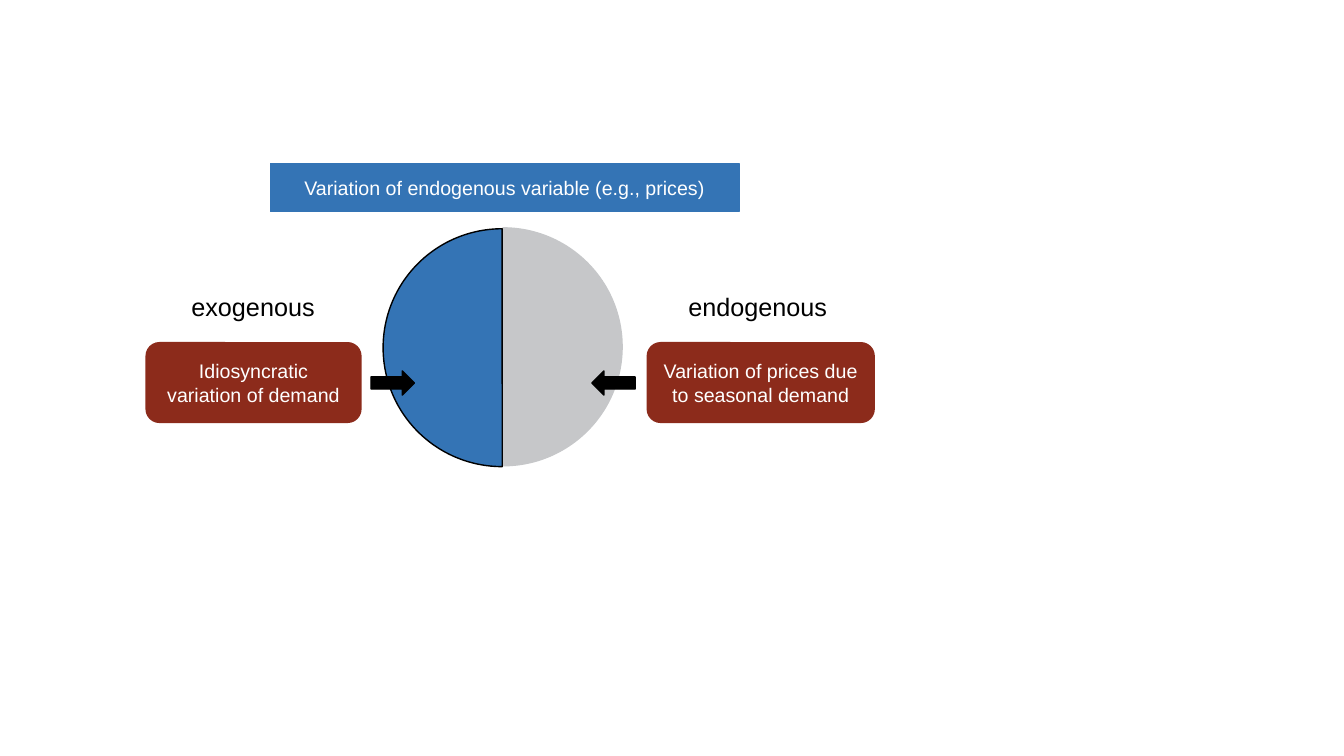
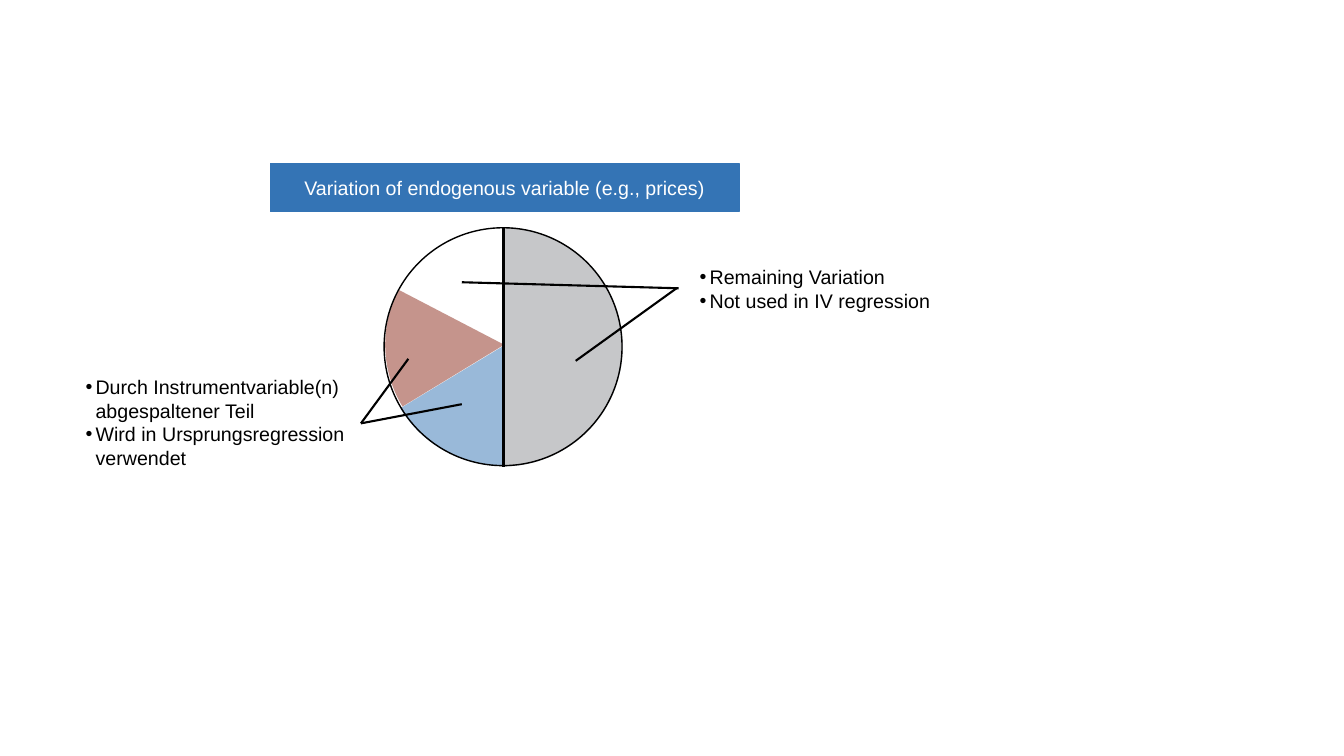
from typing import NamedTuple, Optional

from lxml import etree
from pptx import Presentation
from pptx import util as u
from pptx.dml.color import RGBColor
from pptx.enum import shapes, text
from pptx.oxml import ns

PX = 9144  # EMU per px, 100 px to the inch
FONT = "Arial"
BLUE = RGBColor(0x34, 0x74, 0xB5)
RED = RGBColor(0x8C, 0x2B, 0x1B)
GREY = RGBColor(0xC6, 0xC7, 0xC9)
BLACK = RGBColor(0, 0, 0)
WHITE = RGBColor(0xFF, 0xFF, 0xFF)
DIAMETER = 236
HALF = (89.9, 270)
SLICE = (0, 58.8)
BULLET_INDENT = 10
SHAPE = shapes.MSO_SHAPE
ALIGN = text.PP_ALIGN


class Box(NamedTuple):
    left: int
    top: int
    width: int
    height: int


class Part(NamedTuple):
    kind: shapes.MSO_SHAPE
    box: Box
    fill: Optional[RGBColor]
    line: Optional[RGBColor]
    label: str = ""
    angles: tuple = ()
    rotation: float = 0
    opacity: int = 100
    mirrored: bool = False


class Note(NamedTuple):
    box: Box
    lines: tuple
    size: int = 14
    align: text.PP_ALIGN = ALIGN.LEFT
    bulleted: bool = False


class Rule(NamedTuple):
    start: tuple
    end: tuple
    weight: float = 1.5


def disc(left: int, top: int) -> Box:
    return Box(left, top, DIAMETER, DIAMETER)


def emu(lengths: tuple) -> list:
    return [u.Emu(length * PX) for length in lengths]


def write(paragraph, words: str, size: int, color: RGBColor, align) -> None:
    paragraph.alignment = align
    run = paragraph.add_run()
    run.text = words
    run.font.name = FONT
    run.font.size = u.Pt(size)
    run.font.color.rgb = color


def draw_part(slide, part: Part) -> None:
    shape = slide.shapes.add_shape(part.kind, *emu(part.box))
    shape.shadow.inherit = False
    shape.rotation = part.rotation
    for index, degrees in enumerate(part.angles):
        shape.adjustments[index] = degrees * 0.6  # 60000 units a degree, in 100000ths
    if part.fill is None:
        shape.fill.background()
    else:
        shape.fill.solid()
        shape.fill.fore_color.rgb = part.fill
    if part.opacity < 100:
        color = shape.fill._xPr.find(".//" + ns.qn("a:srgbClr"))
        etree.SubElement(color, ns.qn("a:alpha"), val=str(part.opacity * 1000))
    if part.line is None:
        shape.line.fill.background()
    else:
        shape.line.color.rgb = part.line
        shape.line.width = u.Pt(1)
    if part.mirrored:
        shape._element.spPr.find(ns.qn("a:xfrm")).set("flipH", "1")
    if part.label:
        frame = shape.text_frame
        frame.word_wrap = True
        frame.vertical_anchor = text.MSO_ANCHOR.MIDDLE
        write(frame.paragraphs[0], part.label, 14, WHITE, ALIGN.CENTER)


def draw_note(slide, note: Note) -> None:
    frame = slide.shapes.add_textbox(*emu(note.box)).text_frame
    frame.word_wrap = True
    frame.auto_size = text.MSO_AUTO_SIZE.SHAPE_TO_FIT_TEXT
    for index, words in enumerate(note.lines):
        paragraph = frame.add_paragraph() if index else frame.paragraphs[0]
        write(paragraph, words, note.size, BLACK, note.align)
        if note.bulleted:
            props = paragraph._p.get_or_add_pPr()
            props.set("marL", str(BULLET_INDENT * PX))
            props.set("indent", str(-BULLET_INDENT * PX))
            etree.SubElement(props, ns.qn("a:buFont"), typeface=FONT)
            etree.SubElement(props, ns.qn("a:buChar"), char="•")


def draw_rule(slide, rule: Rule) -> None:
    line = slide.shapes.add_connector(
        shapes.MSO_CONNECTOR.STRAIGHT, *emu(rule.start + rule.end))
    line.line.color.rgb = BLACK
    line.line.width = u.Pt(rule.weight)
    etree.SubElement(line._element.spPr, ns.qn("a:effectLst"))


DRAW = {Part: draw_part, Note: draw_note, Rule: draw_rule}

# Shared by both slides
HEADING = Part(SHAPE.RECTANGLE, Box(268, 162, 465, 48), BLUE, BLUE,
               "Variation of endogenous variable (e.g., prices)")
ENDOGENOUS_HALF = Part(SHAPE.CHORD, disc(381, 226), GREY, GREY, angles=HALF, rotation=180)

# Where the two callouts meet their notes
USED_TIP = (358, 420)

SPLIT = (
    ENDOGENOUS_HALF,
    Part(SHAPE.CHORD, disc(380, 227), BLUE, BLACK, angles=HALF),
    Part(SHAPE.ROUNDED_RECTANGLE, Box(145, 340, 213, 79), RED, RED,
         "Idiosyncratic variation of demand"),
    Part(SHAPE.ROUNDED_RECTANGLE, Box(642, 340, 225, 79), RED, RED,
         "Variation of prices due to seasonal demand"),
    Part(SHAPE.RIGHT_ARROW, Box(368, 368, 43, 24), BLACK, BLACK),
    Part(SHAPE.RIGHT_ARROW, Box(587, 368, 43, 24), BLACK, BLACK, mirrored=True),
    HEADING,
    Note(Box(180, 284, 143, 40), ("exogenous",), 18),
    Note(Box(667, 284, 169, 40), ("endogenous",), 18, ALIGN.CENTER),
)

INSTRUMENT = (
    HEADING,
    # Slices split off by the instruments
    Part(SHAPE.PIE, disc(380, 226), BLUE, None, angles=SLICE, rotation=90, opacity=50),
    Part(SHAPE.PIE, disc(382, 224), RED, None, angles=SLICE, rotation=148.7, opacity=50),
    Rule(USED_TIP, (405, 356)),
    Rule(USED_TIP, (458, 401)),
    # Whole circle and its divider
    ENDOGENOUS_HALF,
    Part(SHAPE.OVAL, disc(381, 226), None, BLACK),
    Rule((499, 226), (499, 463), 2.25),
    # Notes and the callout to the remaining parts
    Note(Box(75, 367, 283, 104),
         ("Durch Instrumentvariable(n) abgespaltener Teil",
          "Wird in Ursprungsregression verwendet"), bulleted=True),
    Note(Box(684, 258, 304, 57),
         ("Remaining Variation", "Not used in IV regression"), bulleted=True),
    Rule((458, 280), (673, 286)),
    Rule((571, 358), (671, 286)),
)


def main() -> None:
    deck = Presentation()
    deck.slide_width, deck.slide_height = emu((1333, 750))
    for elements in (SPLIT, INSTRUMENT):
        slide = deck.slides.add_slide(deck.slide_layouts[6])
        for element in elements:
            DRAW[type(element)](slide, element)
    deck.save("out.pptx")


if __name__ == "__main__":
    main()
